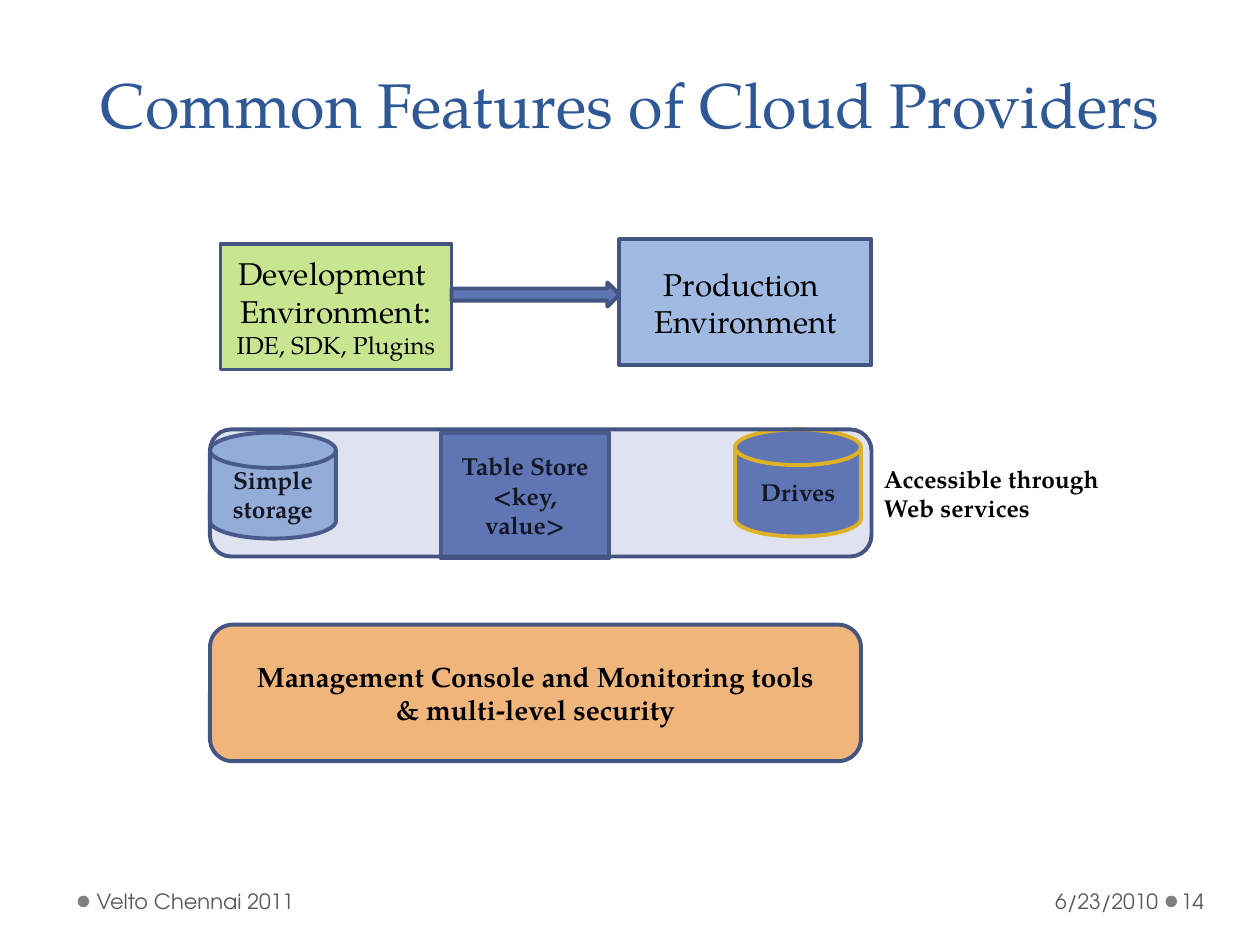
from lxml.etree import SubElement
from pptx import Presentation
from pptx.dml.color import RGBColor
from pptx.enum.shapes import MSO_SHAPE as SHAPE
from pptx.enum.text import MSO_ANCHOR as ANCHOR, MSO_AUTO_SIZE as FIT, PP_ALIGN as ALIGN
from pptx.oxml.ns import qn
from pptx.util import Inches, Pt

SERIF, SANS = "TeX Gyre Pagella", "TeX Gyre Adventor"
UNITS_PER_INCH = 12
COLORS = {
    "title": "2F5897", "text": "000000", "footer": "595959", "dot": "7F7F7F",
    "outline": "445583", "gold": "FFC000", "green": "C7E68F", "sky": "A0BAE1",
    "blue": "6076B4", "orange": "F0B57A",
}


def rgb(name):
    """Return the named palette colour."""
    return RGBColor.from_string(COLORS[name])


def grid(*cells):
    """Convert left, top, width and height in grid units to lengths."""
    return [Inches(c / UNITS_PER_INCH) for c in cells]


def style(p, size, color="text", font=SERIF, bold=False, align=ALIGN.CENTER):
    """Set the alignment and font of a paragraph."""
    p.alignment = align
    p.font.name, p.font.size, p.font.bold = font, Pt(size), bold
    p.font.color.rgb = rgb(color)


def write(tf, lines, size, **look):
    """Fill a text frame with one paragraph per line."""
    for i, line in enumerate(lines):
        p = tf.paragraphs[0] if i == 0 else tf.add_paragraph()
        p.add_run().text = line
        style(p, size, **look)


def add_block(shapes, kind, cells, fill, line="outline", lines=(), size=14, bold=True):
    """Add a filled preset shape with centred text."""
    sp = shapes.add_shape(kind, *grid(*cells))
    sp.shadow.inherit = False
    sp.fill.solid()
    sp.fill.fore_color.rgb = rgb(fill)
    if line:
        sp.line.color.rgb = rgb(line)
        sp.line.width = Pt(2.25)
    else:
        sp.line.fill.background()
    sp.text_frame.vertical_anchor = ANCHOR.MIDDLE
    write(sp.text_frame, lines, size, bold=bold)
    return sp


def add_footer(shapes, cells, text, align=ALIGN.LEFT, left=0.05, right=0.05):
    """Add a vertically centred footer text."""
    tf = shapes.add_textbox(*grid(*cells)).text_frame
    tf.word_wrap, tf.vertical_anchor = True, ANCHOR.MIDDLE
    tf.margin_left, tf.margin_right = Inches(left), Inches(right)
    write(tf, [text], 12, color="footer", font=SANS, align=align)


def add_title(slide, text):
    """Place and format the title placeholder."""
    title = slide.shapes.title
    title.left, title.top, title.width, title.height = grid(6, 0, 108, 14)
    tf = title.text_frame
    tf.auto_size, tf.vertical_anchor = FIT.NONE, ANCHOR.BOTTOM
    write(tf, [text], 36, color="title")
    tf.paragraphs[0].line_spacing = Pt(58)


def add_environments(slide):
    """Add the development and production boxes with the arrow between them."""
    shapes = slide.shapes.add_group_shape().shapes
    dev = add_block(shapes, SHAPE.RECTANGLE, (21, 23.2, 22, 12), "green",
                    lines=["Development ", "Environment: "], size=18, bold=False)
    r = dev.text_frame.paragraphs[1].add_run()
    r.text, r.font.size = "IDE, SDK, Plugins", Pt(14)
    add_block(shapes, SHAPE.RECTANGLE, (59, 22.8, 24, 12), "sky",
              lines=["Production ", "Environment"], size=18, bold=False)
    add_block(shapes, SHAPE.RIGHT_ARROW, (43, 26.9, 16, 2.3), "blue")


def add_storage(slide):
    """Add the three stores, the translucent panel over them and its label."""
    shapes = slide.shapes.add_group_shape().shapes
    disk = SHAPE.FLOWCHART_MAGNETIC_DISK
    add_block(shapes, disk, (20, 41.2, 12, 10.1), "sky", lines=["Simple", "storage"])
    add_block(shapes, SHAPE.RECTANGLE, (42, 41.2, 16, 12), "blue",
              lines=["Table Store <key, value>"])
    add_block(shapes, disk, (70, 40.9, 12, 10.2), "blue", "gold", ["Drives"])
    panel = add_block(shapes, SHAPE.ROUNDED_RECTANGLE, (20, 40.9, 63, 12.1), "blue")
    color = panel.fill._xPr.find(qn("a:solidFill"))[0]
    SubElement(color, qn("a:alpha"), val="20000")
    tf = shapes.add_textbox(*grid(83, 43.6, 23.4, 6.8)).text_frame
    tf.word_wrap, tf.auto_size = False, FIT.SHAPE_TO_FIT_TEXT
    write(tf, ["Accessible through", "Web services"], 14, bold=True, align=ALIGN.LEFT)


def main():
    """Build and save the slide."""
    prs = Presentation()
    prs.slide_width, prs.slide_height = Inches(10), Inches(7.5)
    s = prs.slides.add_slide(prs.slide_layouts[5])
    for left in (111, 7.4):
        add_block(s.shapes, SHAPE.OVAL, (left, 85.3, 1.1, 1.1), "dot", None)
    add_title(s, "Common Features of Cloud Providers")
    add_environments(s)
    add_storage(s)
    add_block(s.shapes, SHAPE.ROUNDED_RECTANGLE, (20, 59.5, 62, 13), "orange", size=16,
              lines=["Management Console and Monitoring tools", "& multi-level security"])
    add_footer(s.shapes, (83.5, 83.4, 27.4, 4.8), "6/23/2010", ALIGN.RIGHT, left=0.1)
    add_footer(s.shapes, (8.6, 83.4, 37.3, 4.8), "Velto Chennai 2011", right=0.1)
    add_footer(s.shapes, (112.1, 83.4, 7.3, 4.8), "14", left=0.03)
    prs.save("out.pptx")


if __name__ == "__main__":
    main()
